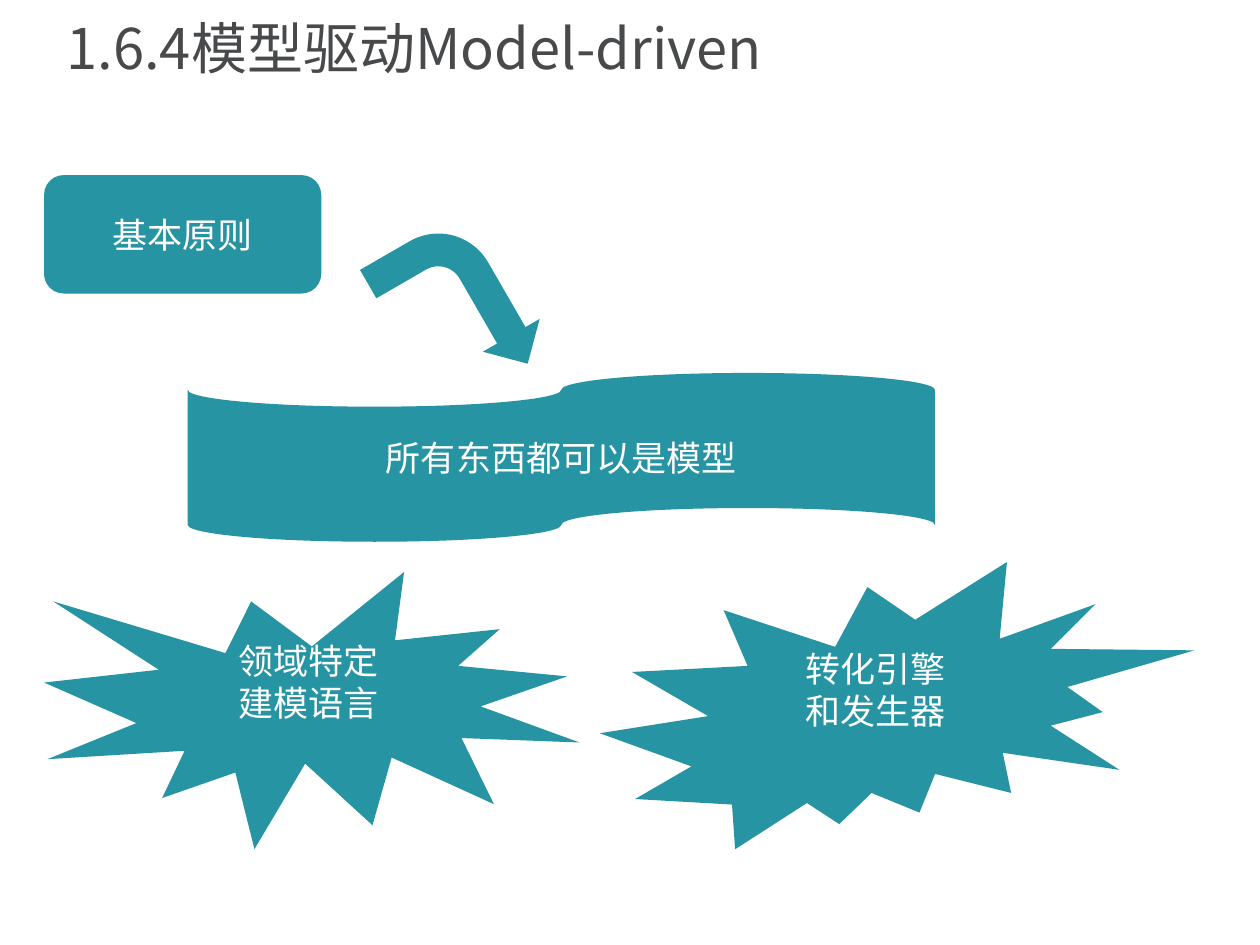
from dataclasses import dataclass

from lxml import etree
from pptx import Presentation
from pptx import util as u
from pptx.dml.color import RGBColor
from pptx.enum import shapes, text
from pptx.oxml.ns import qn

WIDTH, HEIGHT = 10, 7.5
MSO = shapes.MSO_SHAPE


@dataclass(frozen=True)
class Theme:
    font: str = "Noto Sans CJK SC"
    teal: str = "2794A4"
    ink: str = "47494B"
    white: str = "FFFFFF"
    title: int = 32
    body: int = 20
    leading: int = 24


THEME = Theme()


def frame(left, top, width, height):
    """Turn shares of the slide, in percent, into lengths."""
    shares = ((left, WIDTH), (top, HEIGHT), (width, WIDTH), (height, HEIGHT))
    return [u.Inches(share / 100 * full) for share, full in shares]


def write(sp, words, size=THEME.body, color=THEME.white,
          align=text.PP_ALIGN.CENTER, spacing=None, bottom=0.05):
    tf = sp.text_frame
    tf.word_wrap = True
    tf.vertical_anchor = text.MSO_ANCHOR.MIDDLE
    tf.margin_bottom = u.Inches(bottom)
    for i, line in enumerate(words.split("\n")):
        p = tf.add_paragraph() if i else tf.paragraphs[0]
        p.alignment = align
        p.line_spacing = spacing
        r = p.add_run()
        r.text = line
        r.font.name = THEME.font
        r.font.size = u.Pt(size)
        r.font.color.rgb = RGBColor.from_string(color)
        ea = etree.SubElement(r.font._element, qn("a:ea"))
        ea.set("typeface", THEME.font)


def add_title(s, words, *share):
    sp = s.shapes.add_textbox(*frame(*share))
    write(sp, words, size=THEME.title, color=THEME.ink,
          align=text.PP_ALIGN.LEFT, spacing=0.9)


def add_block(s, kind, *share):
    sp = s.shapes.add_shape(kind, *frame(*share))
    sp.shadow.inherit = False
    sp.fill.solid()
    sp.fill.fore_color.rgb = RGBColor.from_string(THEME.teal)
    sp.line.fill.background()
    return sp


def add_burst(s, kind, words, *share):
    """Add a star burst whose words sit half a line above its middle."""
    write(add_block(s, kind, *share), words,
          spacing=u.Pt(THEME.leading), bottom=0.38)


def main():
    prs = Presentation()
    prs.slide_width, prs.slide_height = u.Inches(WIDTH), u.Inches(HEIGHT)
    s = prs.slides.add_slide(prs.slide_layouts[6])

    add_title(s, "1.6.4模型驱动Model-driven", 4.3, 0.8, 90.5, 9.33)
    principle = add_block(s, MSO.ROUNDED_RECTANGLE, 3.5, 18.53, 22, 12.53)
    write(principle, "基本原则")
    banner = add_block(s, MSO.FLOWCHART_PUNCHED_TAPE, 14.9, 39.47, 59.3, 17.87)
    write(banner, "所有东西都可以是模型")
    arrow = add_block(s, MSO.BENT_ARROW, 29.8, 25.73, 13.1, 13.87)
    arrow.rotation = 60
    add_burst(s, MSO.EXPLOSION1, "领域特定\n建模语言", 3.5, 60.53, 42.5, 29.33)
    add_burst(s, MSO.EXPLOSION2, "转化引擎\n和发生器", 47.6, 59.47, 47.2, 30.4)

    prs.save("out.pptx")


if __name__ == "__main__":
    main()
